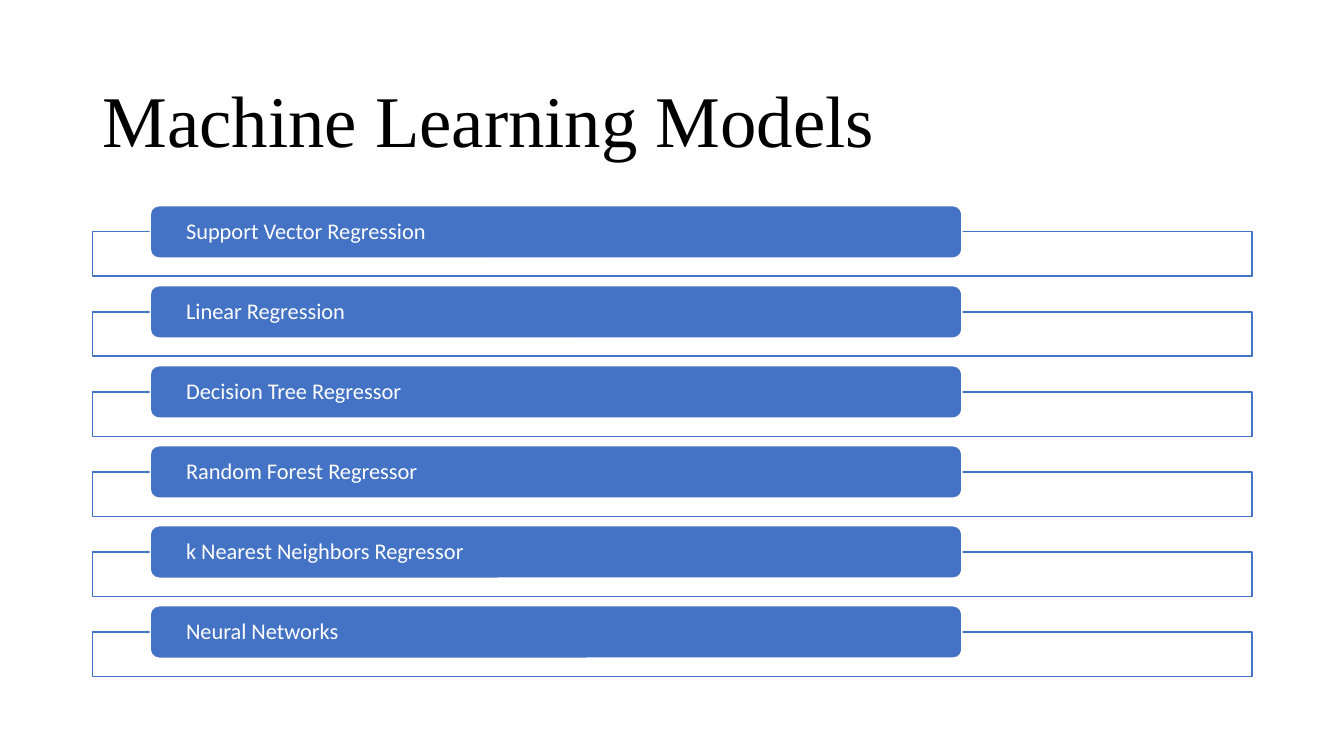
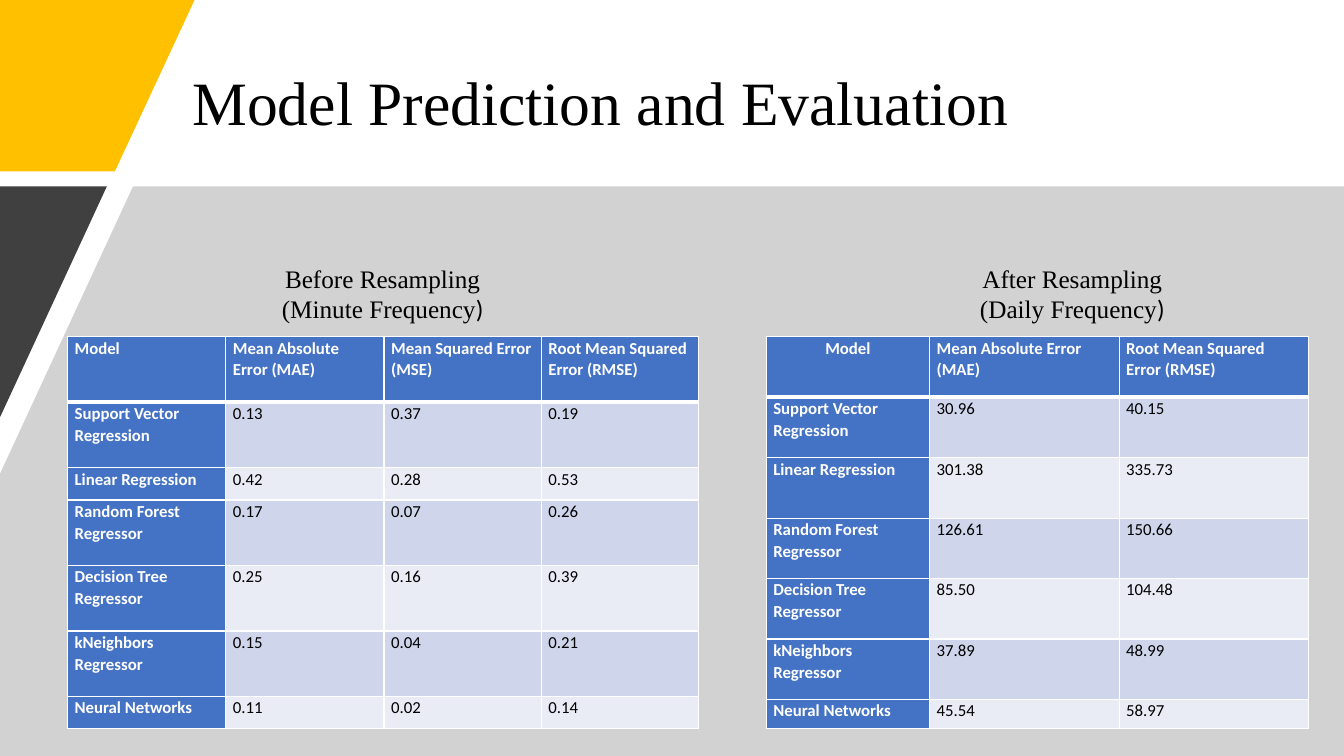
import pptx
import pptx.util
import pptx.dml.color
import pptx.enum.shapes
import pptx.enum.text
import pptx.oxml
import pptx.oxml.ns

PX = 9144  # EMU in one px, 100 px to the inch
WIDE, HIGH = 1333, 750
SERIF, SANS = "Times New Roman", "Calibri"
HUES = {
    "white": "FFFFFF", "black": "000000", "blue": "4472C4", "gold": "FFC000",
    "dark": "404040", "gray": "A6A6A6", "band": "CFD5EA", "pale": "E9EBF5",
}
ALIGN = pptx.enum.text.PP_ALIGN
ANCHOR = pptx.enum.text.MSO_ANCHOR
SHAPE = pptx.enum.shapes.MSO_SHAPE

MODELS = [
    "Support Vector Regression", "Linear Regression", "Decision Tree Regressor",
    "Random Forest Regressor", "k Nearest Neighbors Regressor", "Neural Networks",
]
STEP = 79.4
FRAME = (92, 230, 1150, 44)
BAR = (149, 204, 805, 52)

# points, hue, opacity in percent
PANELS = [
    ([(0, 0), (193, 0), (114, 170), (0, 170)], "gold", 100),
    ([(132, 185), (WIDE, 185), (WIDE, HIGH), (0, HIGH), (0, 470)], "gray", 50),
    ([(0, 185), (106, 185), (0, 414)], "dark", 100),
]

MAE, MSE, RMSE = ("Mean Absolute Error (MAE)", "Mean Squared Error (MSE)",
                  "Root Mean Squared Error (RMSE)")
TESTED = [
    "Support Vector Regression", "Linear Regression", "Random Forest Regressor",
    "Decision Tree Regressor", "kNeighbors Regressor", "Neural Networks",
]
TABLES = [
    {
        "label": [[("Before Resampling (Minute Frequency", SERIF), (")", SANS)]],
        "box": (252, 256, 255, 71),
        "left": 67, "cols": [157, 157, 156, 156],
        "rows": [65, 65, 32, 65, 65, 65, 32],
        "heads": ["Model", MAE, MSE, RMSE], "first": ALIGN.LEFT,
        "data": [
            ("0.13", "0.37", "0.19"), ("0.42", "0.28", "0.53"),
            ("0.17", "0.07", "0.26"), ("0.25", "0.16", "0.39"),
            ("0.15", "0.04", "0.21"), ("0.11", "0.02", "0.14"),
        ],
    },
    {
        "label": [[("After Resampling", SERIF)],
                  [("(Daily Frequency", SERIF), (")", SANS)]],
        "box": (929, 256, 269, 71),
        "left": 760, "cols": [162, 188, 188],
        "rows": [60] * 6 + [29],
        "heads": ["Model", MAE, RMSE], "first": ALIGN.CENTER,
        "data": [
            ("30.96", "40.15"), ("301.38", "335.73"), ("126.61", "150.66"),
            ("85.50", "104.48"), ("37.89", "48.99"), ("45.54", "58.97"),
        ],
    },
]
TOP = 334


def emu(*sizes):
    return [round(size * PX) for size in sizes]


def tint(hue):
    return pptx.dml.color.RGBColor.from_string(HUES[hue])


def write(frame, text, size, font=SANS, hue="black", bold=False,
          align=ALIGN.LEFT, lead=1.0, after=0):
    """Fill a text frame from a string or from paragraphs of (words, font) runs."""
    paras = [[(text, font)]] if isinstance(text, str) else text
    for i, runs in enumerate(paras):
        para = frame.add_paragraph() if i else frame.paragraphs[0]
        para.alignment, para.line_spacing = align, lead
        para.space_after = pptx.util.Pt(after)
        for words, face in runs:
            run = para.add_run()
            run.text = words
            run.font.name, run.font.bold = face, bold
            run.font.size = pptx.util.Pt(size)
            run.font.color.rgb = tint(hue)


def label(slide, box, text, size, anchor=ANCHOR.TOP, **style):
    frame = slide.shapes.add_textbox(*emu(*box)).text_frame
    frame.word_wrap = True
    frame.vertical_anchor = anchor
    write(frame, text, size, **style)


def title(slide, box, text, size):
    label(slide, box, text, size, ANCHOR.MIDDLE, font=SERIF, lead=0.9)


def paint(shape, hue, line=None, alpha=100):
    shape.shadow.inherit = False
    shape.fill.solid()
    shape.fill.fore_color.rgb = tint(hue)
    if alpha < 100:
        color = shape.fill._xPr.find(".//" + pptx.oxml.ns.qn("a:srgbClr"))
        color.append(pptx.oxml.parse_xml(
            f'<a:alpha {pptx.oxml.ns.nsdecls("a")} val="{alpha * 1000}"/>'))
    if line:
        shape.line.color.rgb = tint(line)
        shape.line.width = pptx.util.Pt(1)
    else:
        shape.line.fill.background()


def edge(cell, base):
    """Draw white borders; base is the width of the bottom one in points."""
    props = cell._tc.get_or_add_tcPr()
    for i, (side, width) in enumerate(zip("LRTB", (1, 1, 1, base))):
        props.insert(i, pptx.oxml.parse_xml(
            f'<a:ln{side} {pptx.oxml.ns.nsdecls("a")} w="{width * 12700}">'
            f'<a:solidFill><a:srgbClr val="{HUES["white"]}"/></a:solidFill>'
            f'</a:ln{side}>'))


def grid(slide, item):
    rows, cols = item["rows"], item["cols"]
    area = emu(item["left"], TOP, sum(cols), sum(rows))
    table = slide.shapes.add_table(len(rows), len(cols), *area).table
    for col, width in zip(table.columns, emu(*cols)):
        col.width = width
    for row, height in zip(table.rows, emu(*rows)):
        row.height = height
    lines = [item["heads"]] + [(name, *nums) for name, nums in zip(TESTED, item["data"])]
    for r, line in enumerate(lines):
        for c, text in enumerate(line):
            cell = table.cell(r, c)
            head = r == 0 or c == 0
            cell.margin_left = cell.margin_right = 7 * PX
            cell.margin_top = cell.margin_bottom = 0
            cell.fill.solid()
            cell.fill.fore_color.rgb = tint("blue" if head else "band" if r % 2 else "pale")
            edge(cell, 1 if r else 3)
            write(cell.text_frame, text, 12, bold=head, hue="white" if head else "black",
                  align=item["first"] if r == c == 0 else ALIGN.LEFT, lead=1.07, after=8)


def models(slide):
    title(slide, (92, 61, 1150, 124), "Machine Learning Models", 52)
    for i, name in enumerate(MODELS):
        parts = []
        for kind, (x, y, w, h) in ((SHAPE.RECTANGLE, FRAME), (SHAPE.ROUNDED_RECTANGLE, BAR)):
            parts.append(slide.shapes.add_shape(kind, *emu(x, y + i * STEP, w, h)))
        frame, bar = parts
        paint(frame, "white", "blue", 90)
        paint(bar, "blue", "white")
        text = bar.text_frame
        text.word_wrap = True
        text.vertical_anchor = ANCHOR.MIDDLE
        text.margin_left = text.margin_right = 33 * PX
        text.margin_top = text.margin_bottom = 0
        write(text, name, 16, hue="white", lead=0.9)


def scores(slide):
    title(slide, (181, 40, 1024, 130), "Model Prediction and Evaluation", 44)
    for points, hue, alpha in PANELS:
        pen = slide.shapes.build_freeform(*points[0], scale=PX)
        pen.add_line_segments(points[1:], close=True)
        paint(pen.convert_to_shape(), hue, alpha=alpha)
    for item in TABLES:
        grid(slide, item)
        label(slide, item["box"], item["label"], 18, align=ALIGN.CENTER)


def main():
    deck = pptx.Presentation()
    deck.slide_width, deck.slide_height = emu(WIDE, HIGH)
    for build in (models, scores):
        build(deck.slides.add_slide(deck.slide_layouts[6]))
    deck.save("out.pptx")


if __name__ == "__main__":
    main()
